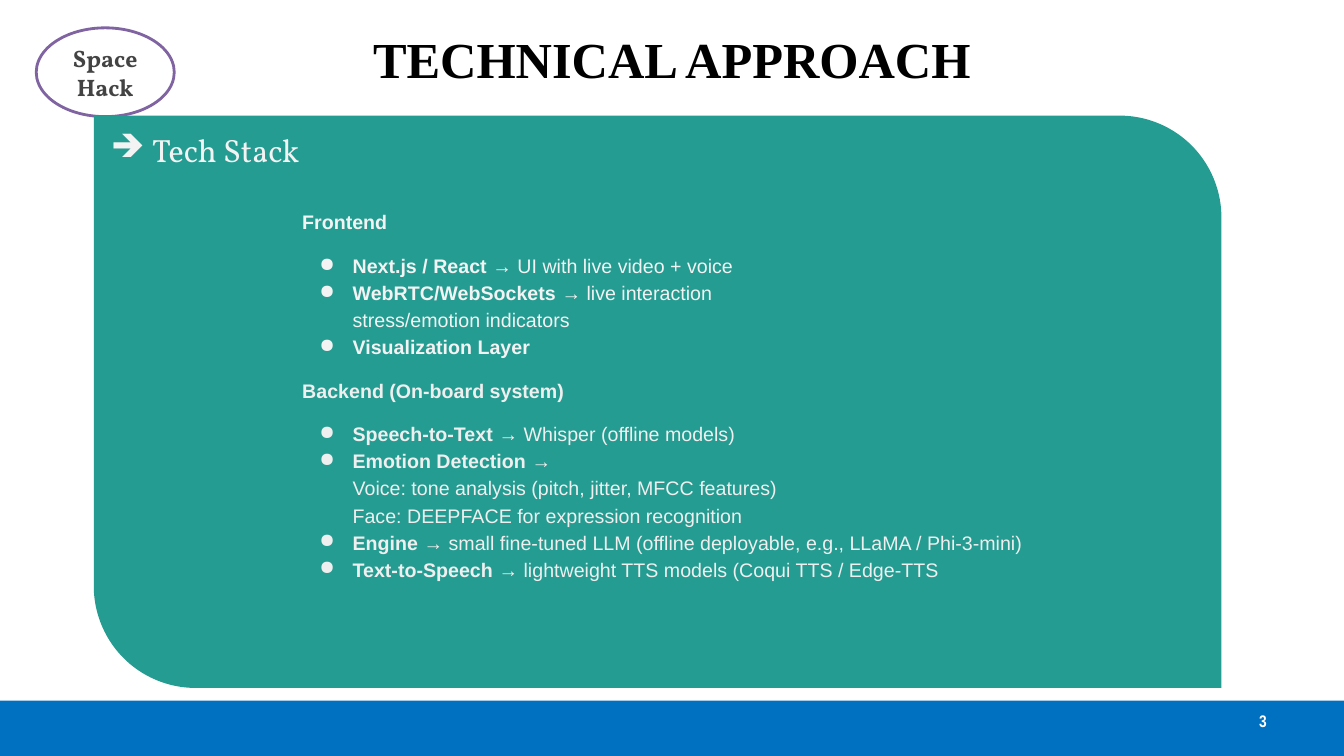
from copy import deepcopy

from lxml import etree
from pptx import Presentation
from pptx import util as u
from pptx.dml.color import RGBColor
from pptx.enum import shapes, text
from pptx.oxml.ns import qn

WIDTH, HEIGHT = 960, 540
BAR_TOP = 500.4
PALE, PALER = "F3F3F3", "EFEFEF"

# Each section: heading, text colour, items of (name, detail lines)
STACK = [
    ("Frontend", PALE, [
        ("Next.js / React", [" → UI with live video + voice"]),
        ("WebRTC/WebSockets", [" → live interaction", "stress/emotion indicators"]),
        ("Visualization Layer", []),
    ]),
    ("Backend (On-board system)", PALER, [
        ("Speech-to-Text", [" → Whisper (offline models)"]),
        ("Emotion Detection", [
            " →",
            "Voice: tone analysis (pitch, jitter, MFCC features)",
            "Face: DEEPFACE for expression recognition",
        ]),
        ("Engine", [" → small fine-tuned LLM (offline deployable, e.g., LLaMA / Phi-3-mini)"]),
        ("Text-to-Speech", [" → lightweight TTS models (Coqui TTS / Edge-TTS"]),
    ]),
]


def colour(value):
    return RGBColor.from_string(value)


def place(left, top, width, height):
    return [u.Pt(length) for length in (left, top, width, height)]


def style(span, font, size, ink, bold=False):
    span.font.name = font
    span.font.size = u.Pt(size)
    span.font.color.rgb = colour(ink)
    span.font.bold = bold


def add_span(para, words, *look):
    span = para.add_run()
    span.text = words
    style(span, *look)
    return span


def add_bullet(para, mark, ink, indent):
    props = para._p.get_or_add_pPr()
    props.set("marL", str(u.Pt(36)))
    props.set("indent", str(-u.Pt(indent)))
    tint = etree.SubElement(props, qn("a:buClr"))
    etree.SubElement(tint, qn("a:srgbClr"), val=ink)
    etree.SubElement(props, qn("a:buChar"), char=mark)


def add_block(page, kind, box, fill, line=None):
    block = page.shapes.add_shape(kind, *place(*box))
    block.shadow.inherit = False
    block.fill.solid()
    block.fill.fore_color.rgb = colour(fill)
    if line:
        block.line.color.rgb = colour(line)
        block.line.width = u.Pt(2)
    else:
        block.line.fill.background()
    return block


def add_text(page, box, inset=7.2):
    frame = page.shapes.add_textbox(*place(*box)).text_frame
    frame.word_wrap = True
    frame.margin_top = frame.margin_bottom = u.Pt(inset)
    return frame


def add_title(page, box):
    title = page.shapes.title
    title.left, title.top, title.width, title.height = place(*box)
    frame = title.text_frame
    frame.text = "TECHNICAL APPROACH"
    frame.vertical_anchor = text.MSO_ANCHOR.MIDDLE
    para = frame.paragraphs[0]
    para.alignment = text.PP_ALIGN.CENTER
    style(para.runs[0], "Times New Roman", 36, "000000", True)


def add_footer(page, box):
    left, top, width, height = box
    add_block(page, shapes.MSO_SHAPE.RECTANGLE, box, "0070C0")
    frame = add_text(page, (left + width - 272, top, 224, 28.8), 3.6)
    frame.vertical_anchor = text.MSO_ANCHOR.MIDDLE
    para = frame.paragraphs[0]
    para.alignment = text.PP_ALIGN.RIGHT
    add_span(para, "3", "Arial Narrow", 12, "FFFFFF", True)


def add_badge(page, box):
    badge = add_block(page, shapes.MSO_SHAPE.OVAL, box, "FFFFFF", "8064A2")
    frame = badge.text_frame
    frame.vertical_anchor = text.MSO_ANCHOR.MIDDLE
    para = frame.paragraphs[0]
    para.alignment = text.PP_ALIGN.CENTER
    add_span(para, "Space Hack", "Vollkorn", 17, "434343", True)


def add_item(para, name, details, ink):
    span = add_span(para, name, "Arial", 14, ink, True)
    for number, detail in enumerate(details):
        if number:
            # The break takes the look of the run before it
            para.add_line_break()
            para._p[-1].append(deepcopy(span._r.rPr))
        span = add_span(para, detail, "Arial", 14, ink)


def add_stack_panel(page, box):
    left, top, width, height = box
    panel = add_block(page, shapes.MSO_SHAPE.ROUND_2_DIAG_RECTANGLE, box, "249C91")
    panel.adjustments[0] = 0
    panel.adjustments[1] = 0.178

    # Panel heading
    para = add_text(page, (left - 1.4, top + 3.6, 186, 97)).paragraphs[0]
    add_bullet(para, "➔", PALE, 29.5)
    add_span(para, "Tech Stack", "Vollkorn", 23, PALE)

    # Sections with their lists
    frame = add_text(page, (left + 141.8, top + 57.6, 566.6, 312.5))
    for section, (heading, ink, items) in enumerate(STACK):
        para = frame.add_paragraph() if section else frame.paragraphs[0]
        para.line_spacing = 1.15
        para.space_before = u.Pt(12 if section else 0)
        add_span(para, heading, "Arial", 14, ink, True)
        for number, (name, details) in enumerate(items):
            para = frame.add_paragraph()
            para.line_spacing = 1.15
            para.space_before = u.Pt(0 if number else 12)
            add_bullet(para, "●", ink, 23.8)
            add_item(para, name, details, ink)


def main():
    deck = Presentation()
    deck.slide_width, deck.slide_height = u.Pt(WIDTH), u.Pt(HEIGHT)
    page = deck.slides.add_slide(deck.slide_layouts[5])
    add_footer(page, (0, BAR_TOP, WIDTH, HEIGHT - BAR_TOP))
    add_title(page, (48, -3.6, 864, 90))
    add_badge(page, (25.9, 19.9, 98.6, 63.4))
    add_stack_panel(page, (67, 82.6, 805.5, 408.8))
    deck.save("out.pptx")


if __name__ == "__main__":
    main()
